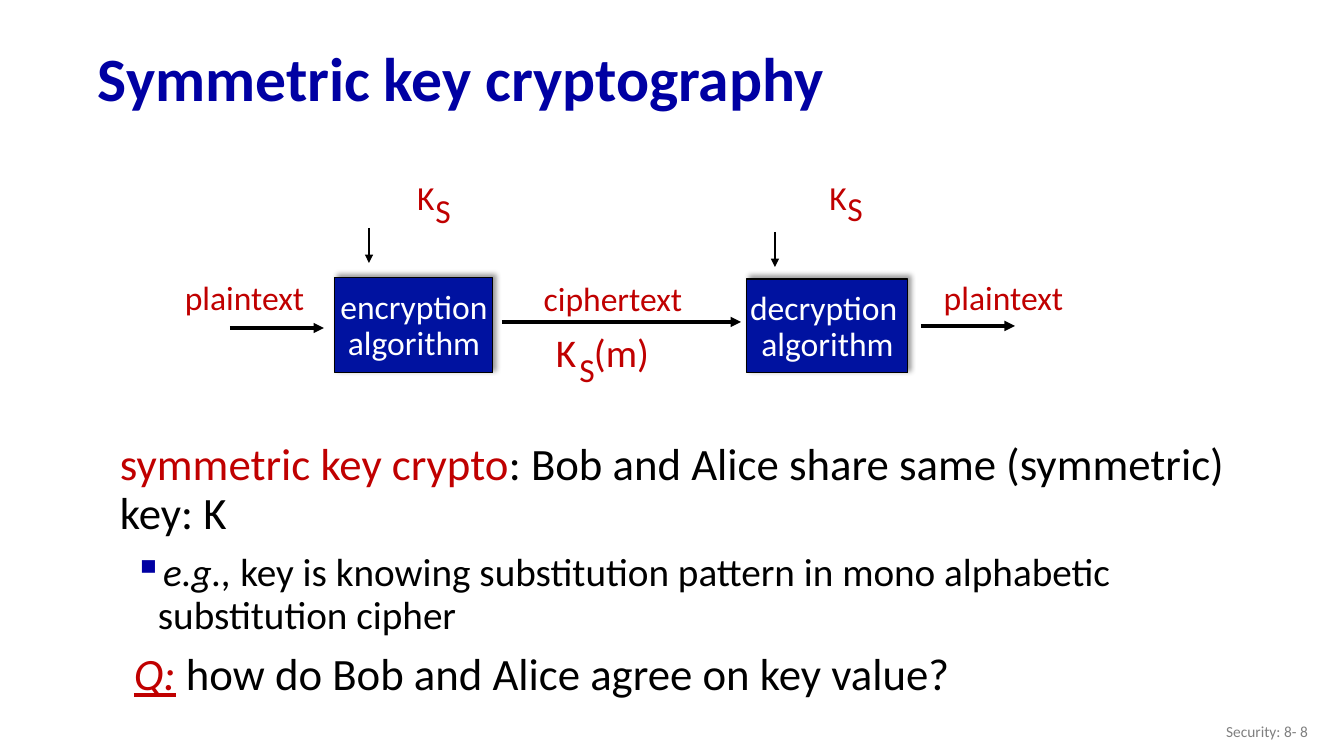
"""Build the slide on symmetric key cryptography."""
from lxml import etree
from pptx import Presentation, util as u
from pptx.dml.color import RGBColor
from pptx.enum import shapes, text
from pptx.oxml import parse_xml
from pptx.oxml.ns import qn

PX = u.Inches(1) / 100.8
FONT = "Calibri"
RED, NAVY, BLUE, BLACK, WHITE, GREY = "C00000", "0000A3", "0012A0", "000000", "FFFFFF", "808080"
LEFT, CENTER, RIGHT = text.PP_ALIGN.LEFT, text.PP_ALIGN.CENTER, text.PP_ALIGN.RIGHT

TITLE = ("Symmetric key cryptography", (88, 32, 1159, 99))
PAGE = ("Security: 8- 8", (1016, 711, 302, 40))
PLAINTEXTS = [(174, 272, 141, 51), (933, 272, 141, 51)]
KEYS = [(407, 172, 13), (819, 172, 11)]
STAGES = [
    (["encryption", "algorithm"], (335, 278, 158, 95)),
    (["decryption ", "algorithm"], (747, 279, 161, 94)),
]
ARROWS = [
    (775, 232, 775, 267, 2),
    (369, 228, 369, 263, 2),
    (230, 328, 324, 328, 2.5),
    (921, 326, 1015, 326, 2.5),
    (502, 322, 741, 322, 2.5),
]
CIPHERTEXT = ("ciphertext", (533, 273, 160, 51))
MESSAGE = (["K", " ", "(m)"], (545, 323, 115, 57))
MESSAGE_KEY = (569, 344, 36, 50)
BODY_BOX = (109, 437, 1162, 268)
BODY = [
    {"margin": 1, "indent": 0, "bullet": None, "runs": [
        ("symmetric key crypto", 32, RED, ""),
        (": Bob and Alice share same (symmetric) key: K", 32, BLACK, "")]},
    {"margin": 39, "indent": -24, "bullet": "▪", "runs": [
        ("e.g., ", 28, BLACK, "i"),
        ("key is knowing substitution pattern in mono alphabetic substitution cipher", 28, BLACK, "")]},
    {"margin": 39, "indent": -24, "bullet": None, "runs": [
        ("Q:", 32, RED, "iu"),
        (" ", 32, RED, "i"),
        ("how do Bob and Alice agree on key value?", 32, BLACK, "")]},
]
SHADOW = (
    '<a:effectLst xmlns:a="http://schemas.openxmlformats.org/drawingml/2006/main">'
    '<a:outerShdw blurRad="50800" dist="38100" dir="18900000" algn="bl" rotWithShape="0">'
    '<a:srgbClr val="000000"><a:alpha val="40000"/></a:srgbClr></a:outerShdw></a:effectLst>')


def color(value):
    return RGBColor.from_string(value)


def px(*lengths):
    return [u.Emu(round(length * PX)) for length in lengths]


def style(run, size, hue, marks=""):
    run.font.name = FONT
    run.font.size = u.Pt(size)
    run.font.color.rgb = color(hue)
    if "b" in marks:
        run.font.bold = True
    if "i" in marks:
        run.font.italic = True
    if "u" in marks:
        run.font.underline = True


def add_label(slide, lines, box, size, hue, align=CENTER, marks="", spacing=None, fill=None, fixed=False):
    label = slide.shapes.add_textbox(*px(*box))
    frame = label.text_frame
    frame.text = "\n".join(lines)
    frame.word_wrap = fixed
    if fixed:
        frame.vertical_anchor = text.MSO_ANCHOR.MIDDLE
    else:
        frame.auto_size = text.MSO_AUTO_SIZE.SHAPE_TO_FIT_TEXT
    if fill:
        label.fill.solid()
        label.fill.fore_color.rgb = color(fill)
    for paragraph in frame.paragraphs:
        paragraph.alignment = align
        if spacing:
            paragraph.line_spacing = spacing
        for run in paragraph.runs:
            style(run, size, hue, marks)
    return label


def add_key(slide, left, top, drop):
    add_label(slide, ["K"], (left, top, 38, 51), 24, RED, fill=WHITE)
    add_label(slide, ["S"], (left + 18, top + drop, 36, 51), 24, RED)


def add_stage(slide, lines, box):
    left, top, width, height = box
    block = slide.shapes.add_shape(shapes.MSO_SHAPE.RECTANGLE, *px(*box))
    block.fill.solid()
    block.fill.fore_color.rgb = color(BLUE)
    block.line.color.rgb = color(BLACK)
    block.line.width = u.Pt(0.75)
    block._element.spPr.append(parse_xml(SHADOW))
    add_label(slide, lines, (left - 8, top + 7, width + 16, 84), 24, WHITE, spacing=0.9)


def add_arrow(slide, x1, y1, x2, y2, weight):
    arrow = slide.shapes.add_connector(shapes.MSO_CONNECTOR.STRAIGHT, *px(x1, y1, x2, y2))
    arrow.line.color.rgb = color(BLACK)
    arrow.line.width = u.Pt(weight)
    etree.SubElement(arrow.line._get_or_add_ln(), qn("a:tailEnd"), type="triangle")
    etree.SubElement(arrow._element.spPr, qn("a:effectLst"))


def add_message(slide):
    parts, box = MESSAGE
    message = add_label(slide, [""], box, 28, RED)
    for part in parts:
        run = message.text_frame.paragraphs[0].add_run()
        run.text = part
        style(run, 28, RED)
        if part == " ":
            run.font._element.set("spc", "630")
    add_label(slide, ["S"], MESSAGE_KEY, 24, RED)


def add_body(slide):
    frame = slide.shapes.add_textbox(*px(*BODY_BOX)).text_frame
    frame.word_wrap = True
    for index, item in enumerate(BODY):
        paragraph = frame.add_paragraph() if index else frame.paragraphs[0]
        props = paragraph._p.get_or_add_pPr()
        margin, indent = px(item["margin"], item["indent"])
        props.set("marL", str(margin))
        props.set("indent", str(indent))
        if item["bullet"]:
            tint = etree.SubElement(props, qn("a:buClr"))
            etree.SubElement(tint, qn("a:srgbClr"), val=NAVY)
            etree.SubElement(props, qn("a:buChar"), char=item["bullet"])
        else:
            etree.SubElement(props, qn("a:buNone"))
        paragraph.alignment = LEFT
        paragraph.line_spacing = 0.9
        if index:
            paragraph.space_before = u.Pt(10)
        for words, size, hue, marks in item["runs"]:
            run = paragraph.add_run()
            run.text = words
            style(run, size, hue, marks)


def main():
    deck = Presentation()
    deck.slide_width, deck.slide_height = px(1344, 756)
    slide = deck.slides.add_slide(deck.slide_layouts[6])
    title, title_box = TITLE
    add_label(slide, [title], title_box, 44, NAVY, LEFT, "b", 0.9, fixed=True)
    for box in PLAINTEXTS:
        add_label(slide, ["plaintext"], box, 24, RED, fill=WHITE)
    for key in KEYS:
        add_key(slide, *key)
    for lines, box in STAGES:
        add_stage(slide, lines, box)
    for arrow in ARROWS:
        add_arrow(slide, *arrow)
    ciphertext, ciphertext_box = CIPHERTEXT
    add_label(slide, [ciphertext], ciphertext_box, 24, RED)
    add_message(slide)
    add_body(slide)
    page, page_box = PAGE
    add_label(slide, [page], page_box, 11, GREY, RIGHT, fixed=True)
    deck.save("out.pptx")


if __name__ == "__main__":
    main()
